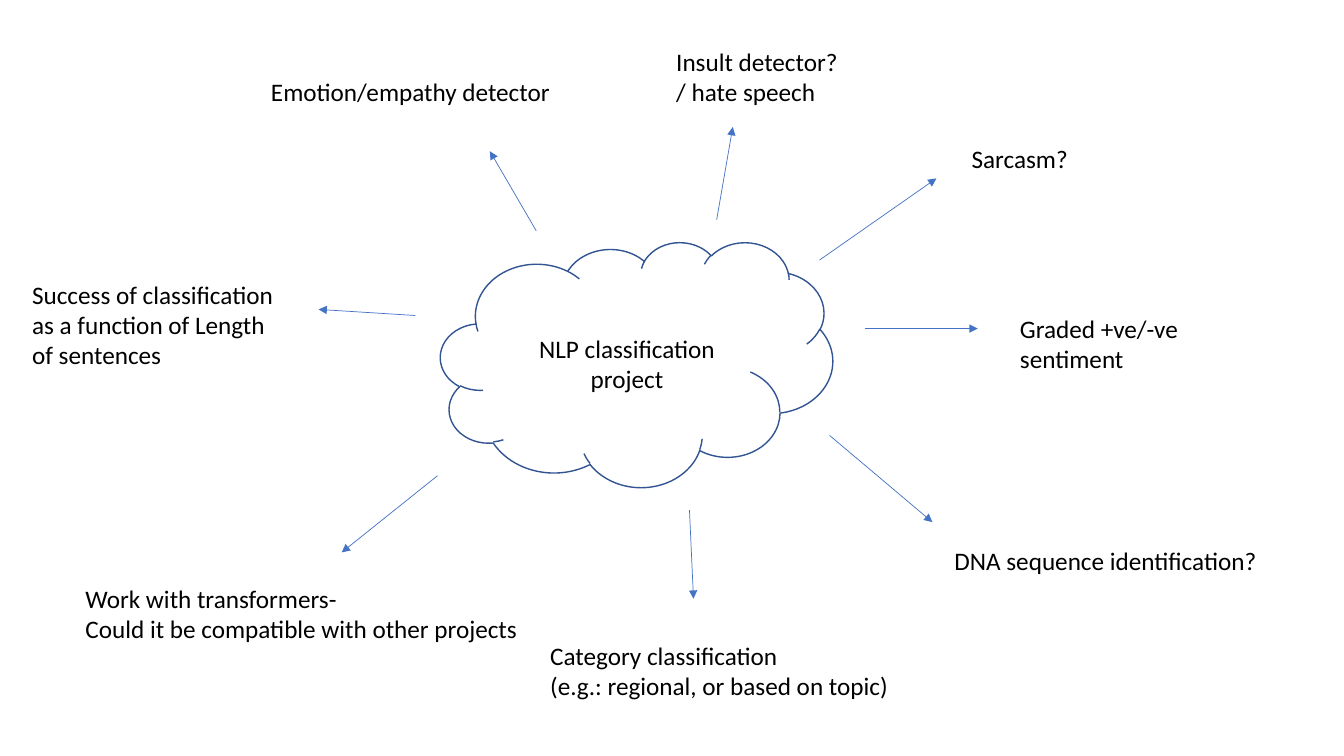
from lxml import etree
from pptx import Presentation
from pptx.dml.color import RGBColor
from pptx.enum.shapes import MSO_CONNECTOR, MSO_SHAPE
from pptx.enum.text import MSO_ANCHOR, MSO_AUTO_SIZE, PP_ALIGN
from pptx.oxml.ns import qn
from pptx.util import Inches, Pt

STRAIGHT = MSO_CONNECTOR.STRAIGHT
CLOUD = MSO_SHAPE.CLOUD
TOP = MSO_ANCHOR.TOP
FIT_TEXT = MSO_AUTO_SIZE.SHAPE_TO_FIT_TEXT
LEFT, CENTER = PP_ALIGN.LEFT, PP_ALIGN.CENTER

CELL = 0.1
COLUMNS, ROWS = 133.33, 75
LINE_HEIGHT, BOX_PADDING = 3, 1
BLANK_LAYOUT = 6

TOPIC = {
    "cloud": (43.7, 24, 38.9, 24.3),
    "label": (52.5, 32.6, 20.2),
    "lines": [("NLP classification", LEFT), ("project", CENTER)],
}

IDEAS = [
    {"lines": ["Sarcasm?"], "label": (95.4, 13.7, 11.7),
     "arrow": (81.3, 25.8, 92.9, 17.7)},
    {"lines": ["Graded +ve/-ve sentiment"], "label": (100.2, 30.6, 24.4), "wrapped_rows": 2,
     "arrow": (85.8, 32.6, 97, 32.6)},
    {"lines": ["DNA sequence identification?"], "label": (93.7, 53.6, 33),
     "arrow": (82.3, 43.2, 92.5, 51.8)},
    {"lines": ["Category classification\v(e.g.: regional, or based on topic)"],
     "label": (53.6, 63, 37.8), "arrow": (68.4, 50.6, 68.8, 59.4)},
    {"lines": ["Insult detector?", "/ hate speech"], "label": (66.1, 4.1, 18.2),
     "arrow": (71.1, 21.8, 72.7, 12.6)},
    {"lines": ["Emotion/empathy detector"], "label": (25.9, 7.1, 30.6),
     "arrow": (53.2, 22.9, 48.6, 15)},
    {"lines": ["Success of classification as a function of Length of sentences"],
     "label": (2.2, 27.2, 27.3), "wrapped_rows": 3, "arrow": (41.2, 31.3, 31.6, 30.7)},
    {"lines": ["Work with transformers-", "Could it be compatible with other projects"],
     "label": (7.5, 57.4, 45.4), "arrow": (43.4, 47.2, 33.9, 54.8)},
]

FONT = {"name": "Calibri", "size": Pt(18)}
TEXT_COLOR, CLOUD_COLOR, ARROW_COLOR = "000000", "325491", "4472C4"


def cells(*counts):
    return [Inches(count * CELL) for count in counts]


def set_color(color_format, value):
    color_format.rgb = RGBColor.from_string(value)


def set_line(line, color, points):
    line.width = Pt(points)
    line.fill.solid()
    set_color(line.fill.fore_color, color)


def add_label(page, place, lines, wrapped_rows=0):
    rows = wrapped_rows or sum(text.count("\v") + 1 for text, _ in lines)
    box = page.shapes.add_textbox(*cells(*place, rows * LINE_HEIGHT + BOX_PADDING))
    frame = box.text_frame
    frame.text = "\n".join(text for text, _ in lines)
    settings = {"word_wrap": wrapped_rows > 0, "auto_size": FIT_TEXT, "vertical_anchor": TOP}
    for name, value in settings.items():
        setattr(frame, name, value)
    for para, (_, alignment) in zip(frame.paragraphs, lines):
        para.alignment = alignment
        for span in para.runs:
            for name, value in FONT.items():
                setattr(span.font, name, value)
            set_color(span.font.color, TEXT_COLOR)


def add_arrow(page, ends):
    arrow = page.shapes.add_connector(STRAIGHT, *cells(*ends))
    set_line(arrow.line, ARROW_COLOR, 0.5)
    outline = arrow.line._get_or_add_ln()
    etree.SubElement(outline, qn("a:tailEnd"), type="triangle")
    etree.SubElement(arrow._element.spPr, qn("a:effectLst"))


def add_cloud(page, place):
    cloud = page.shapes.add_shape(CLOUD, *cells(*place))
    cloud.shadow.inherit = False
    cloud.fill.background()
    set_line(cloud.line, CLOUD_COLOR, 1)


def main():
    deck = Presentation()
    deck.slide_width, deck.slide_height = cells(COLUMNS, ROWS)
    page = deck.slides.add_slide(deck.slide_layouts[BLANK_LAYOUT])
    add_cloud(page, TOPIC["cloud"])
    add_label(page, TOPIC["label"], TOPIC["lines"])
    for idea in IDEAS:
        add_arrow(page, idea["arrow"])
        lines = [(text, LEFT) for text in idea["lines"]]
        add_label(page, idea["label"], lines, idea.get("wrapped_rows", 0))
    deck.save("out.pptx")


if __name__ == "__main__":
    main()
